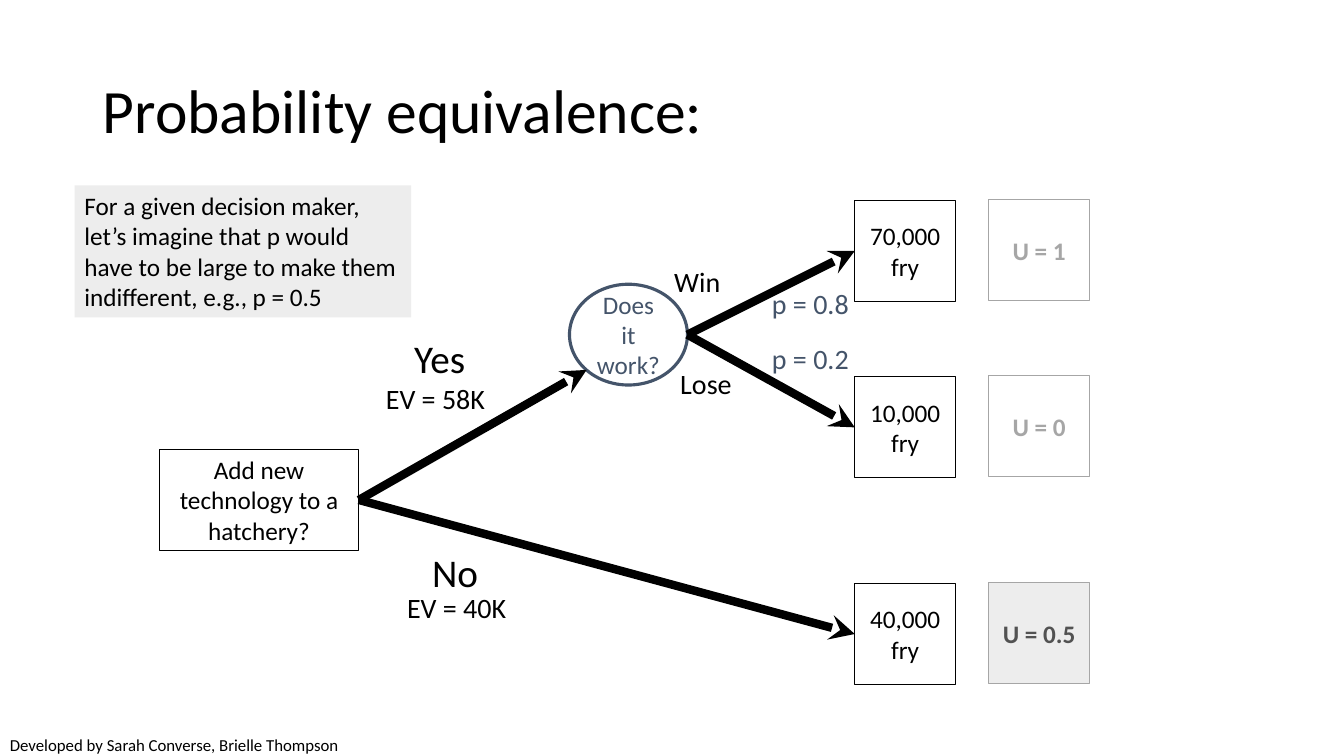
from dataclasses import dataclass

from lxml import etree
from pptx import Presentation
from pptx.dml.color import RGBColor
from pptx.enum.shapes import MSO_CONNECTOR, MSO_SHAPE
from pptx.enum.text import MSO_ANCHOR, PP_ALIGN
from pptx.oxml.ns import qn
from pptx.util import Pt

PX = 9144  # EMU: 100 px to the inch
RECTANGLE, OVAL = MSO_SHAPE.RECTANGLE, MSO_SHAPE.OVAL
STRAIGHT = MSO_CONNECTOR.STRAIGHT
LEFT, CENTER = PP_ALIGN.LEFT, PP_ALIGN.CENTER
TOP, MIDDLE = MSO_ANCHOR.TOP, MSO_ANCHOR.MIDDLE


@dataclass(frozen=True)
class Theme:
    font: str = "Calibri"
    ink: str = "000000"
    chance: str = "44546A"
    faded: str = "A6A6A6"
    strong: str = "525252"
    panel: str = "EDEDED"
    paper: str = "FFFFFF"
    title: int = 44
    choice: int = 28
    label: int = 20
    body: int = 18
    credit: int = 12


THEME = Theme()
NODE = 100
ROW_TOPS = {"win": 0, "lose": 175, "no": 380}


def px(*lengths):
    return [round(length * PX) for length in lengths]


def write(frame, words, size, color=THEME.ink, bold=False, align=LEFT, anchor=TOP):
    frame.text = words
    frame.word_wrap = True
    frame.vertical_anchor = anchor
    paragraph = frame.paragraphs[0]
    paragraph.alignment = align
    font = paragraph.runs[0].font
    font.name, font.size, font.bold = THEME.font, Pt(size), bold
    font.color.rgb = RGBColor.from_string(color)


def add_label(slide, box, words, size, color=THEME.ink, wrap=False):
    label = slide.shapes.add_textbox(*px(*box))
    write(label.text_frame, words, size, color)
    label.text_frame.word_wrap = wrap


def add_node(slide, box, words, preset=RECTANGLE, fill=None, line=THEME.ink,
             width=0.75, **text_style):
    node = slide.shapes.add_shape(preset, *px(*box))
    node.shadow.inherit = False
    if fill:
        node.fill.solid()
        node.fill.fore_color.rgb = RGBColor.from_string(fill)
    else:
        node.fill.background()
    if line:
        node.line.color.rgb = RGBColor.from_string(line)
        node.line.width = Pt(width)
    else:
        node.line.fill.background()
    style = {"size": THEME.body, "align": CENTER, "anchor": MIDDLE} | text_style
    write(node.text_frame, words, **style)


def add_arrow(slide, start, end):
    arrow = slide.shapes.add_connector(STRAIGHT, *px(*start, *end))
    arrow.line.color.rgb = RGBColor.from_string(THEME.ink)
    arrow.line.width = Pt(6)
    etree.SubElement(arrow.line._get_or_add_ln(), qn("a:tailEnd"), type="stealth")
    etree.SubElement(arrow._element.spPr, qn("a:effectLst"))


def add_title(slide, box):
    title = slide.shapes.title
    title.left, title.top, title.width, title.height = px(*box)
    write(title.text_frame, "Probability equivalence:", THEME.title, anchor=MIDDLE)
    title.text_frame.paragraphs[0].line_spacing = 0.9


def add_decision_tree(slide, box):
    left, top, width, _ = box

    def at(x, y, *size):
        return (left + x, top + y, *size)

    outcome_x = width - NODE
    decision_exit, chance_exit = at(198, 297), at(524, 133)
    add_node(slide, at(0, 247, 198, NODE), "Add new technology to a hatchery?")
    add_node(slide, at(407, 83, 117, NODE), "Does it work?", OVAL,
             line=THEME.chance, width=2.25, color=THEME.chance)
    add_arrow(slide, decision_exit, at(424, 168))

    outcomes = [("no", "40,000 fry", decision_exit),
                ("win", "70,000 fry", chance_exit),
                ("lose", "10,000 fry", chance_exit)]
    for row, words, origin in outcomes:
        row_top = ROW_TOPS[row]
        add_node(slide, at(outcome_x, row_top, NODE, NODE), words)
        add_arrow(slide, origin, at(outcome_x, row_top + NODE // 2))

    add_node(slide, at(243, 128, 78, 40), "Yes", fill=THEME.paper, line=None,
             size=THEME.choice, align=LEFT, anchor=TOP)
    add_label(slide, at(261, 340, 66, 58), "No", THEME.choice)
    branch_labels = [("Win", 501, 58, 80, THEME.ink),
                     ("Lose", 507, 160, 94, THEME.ink),
                     ("p = 0.8", 598, 80, 108, THEME.chance),
                     ("p = 0.2", 598, 135, 108, THEME.chance),
                     ("EV = 40K", 236, 382, 130, THEME.ink),
                     ("EV = 58K", 215, 175, 134, THEME.ink)]
    for words, x, y, label_width, color in branch_labels:
        add_label(slide, at(x, y, label_width, 40), words, THEME.label, color)


def add_utilities(slide, box):
    left, top, width, _ = box
    utilities = [("no", "U = 0.5", THEME.panel, THEME.strong),
                 ("win", "U = 1", None, THEME.faded),
                 ("lose", "U = 0", None, THEME.faded)]
    for row, words, fill, color in utilities:
        add_node(slide, (left, top + ROW_TOPS[row], width, NODE), words,
                 fill=fill, line=THEME.faded, color=color, bold=True)


def add_note(slide, box):
    add_node(slide, box,
             "For a given decision maker, let’s imagine that p would have to be "
             "large to make them indifferent, e.g., p = 0.5",
             fill=THEME.panel, line=None, align=LEFT, anchor=TOP)


def main():
    deck = Presentation()
    deck.slide_width, deck.slide_height = px(1333.33, 750)
    slide = deck.slides.add_slide(deck.slide_layouts.get_by_name("Title Only"))
    add_title(slide, (92, 40, 1150, 145))
    add_label(slide, (0, 724, 667, 30),
              "Developed by Sarah Converse, Brielle Thompson", THEME.credit, wrap=True)
    add_decision_tree(slide, (158, 199, 790, 480))
    add_utilities(slide, (981, 198, NODE, 480))
    add_note(slide, (74, 184, 334, 131))
    deck.save("out.pptx")


if __name__ == "__main__":
    main()
